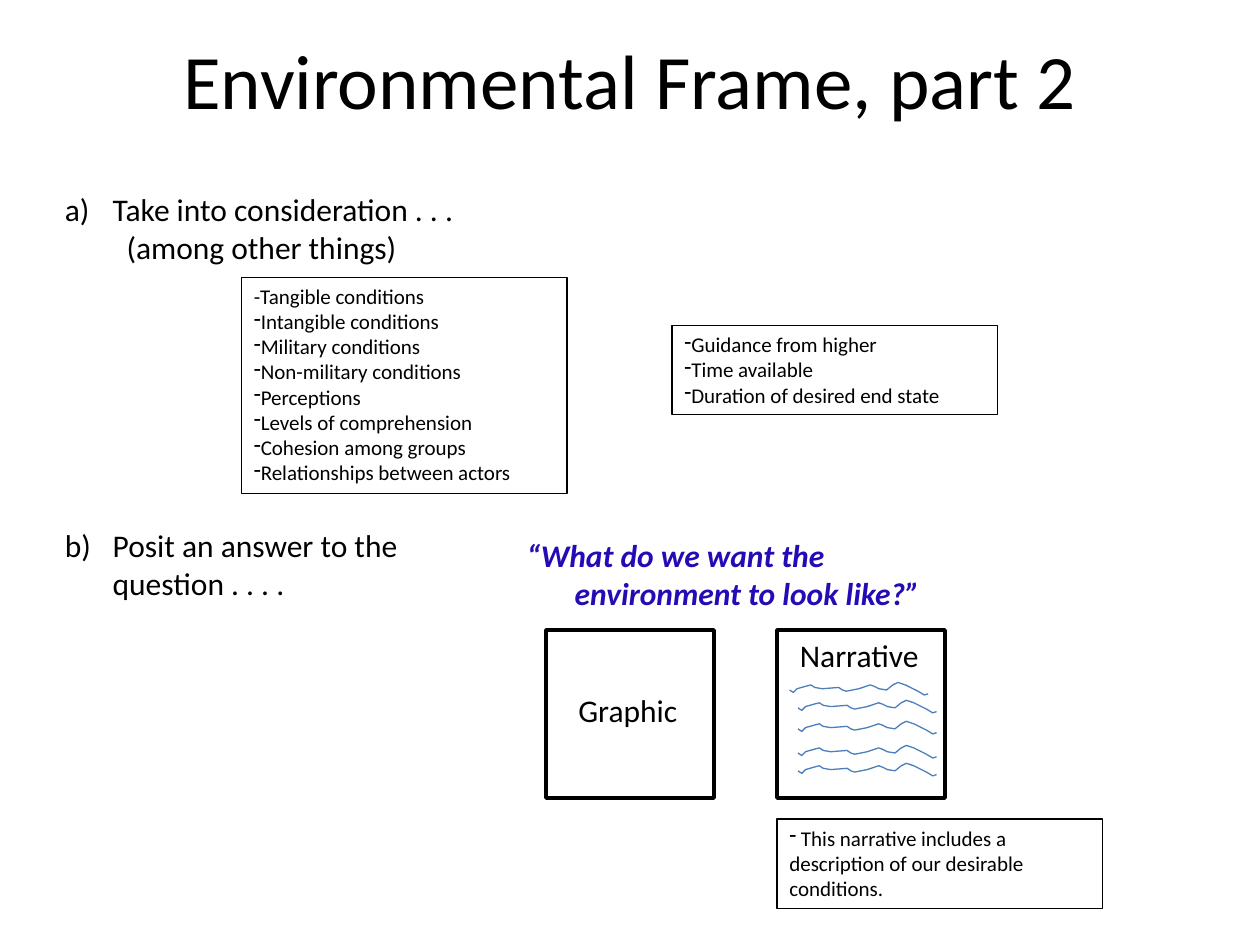
from collections import namedtuple

from lxml.etree import SubElement
from pptx import Presentation
from pptx.dml.color import RGBColor
from pptx.enum.shapes import MSO_SHAPE as Shape
from pptx.enum.text import MSO_ANCHOR as Anchor, PP_ALIGN as Align
from pptx.oxml.ns import qn
from pptx.util import Inches, Pt

BLACK = RGBColor(0x00, 0x00, 0x00)
QUOTE_BLUE = RGBColor(0x23, 0x0B, 0xB5)
WAVE_BLUE = RGBColor(0x4B, 0x7E, 0xBC)
FONT = "Calibri"

# Grid of 120 columns by 90 rows on a 10 by 7.5 inch slide
CELL = Inches(10) // 120
HANGING = 0.38
Box = namedtuple("Box", "column row columns rows")

# One handwritten line, in hundredths of an inch from its top left corner
WAVE = [(0, 6), (3, 8), (6, 5), (13, 3), (17, 2), (20, 4), (26, 5), (39, 4),
        (42, 6), (45, 7), (55, 5), (64, 2), (67, 3), (71, 5), (77, 6), (82, 2),
        (86, 0), (92, 2), (98, 5), (102, 7), (107, 10), (110, 9)]
# Column and row of each handwritten line inside the narrative panel
WAVE_STARTS = [(1.2, 5), (2, 6.7), (2, 8.7), (2, 11), (2, 12.7)]


def place(box):
    return [round(value * CELL) for value in box]


def inside(box, column, row, columns, rows):
    return Box(box.column + column, box.row + row, columns, rows)


def set_margin(paragraph, left, first=0):
    properties = paragraph._p.get_or_add_pPr()
    properties.set("marL", str(Inches(left)))
    properties.set("indent", str(Inches(first)))
    return properties


def add_dash(paragraph):
    SubElement(set_margin(paragraph, 0), qn("a:buChar")).set("char", "-")


def format_text(text_frame, size, color=BLACK, emphasis=False, align=Align.LEFT):
    text_frame.word_wrap = True
    for paragraph in text_frame.paragraphs:
        paragraph.alignment = align
        for run in paragraph.runs:
            font = run.font
            font.name, font.size = FONT, Pt(size)
            font.color.rgb = color
            font.bold = font.italic = emphasis


def add_text(slide, box, text, size=18, **style):
    text_frame = slide.shapes.add_textbox(*place(box)).text_frame
    text_frame.text = text
    format_text(text_frame, size, **style)
    return text_frame


def add_frame(slide, box, line_width):
    frame = slide.shapes.add_shape(Shape.RECTANGLE, *place(box))
    frame.shadow.inherit = False
    frame.fill.background()
    frame.line.color.rgb = BLACK
    frame.line.width = Pt(line_width)
    return frame


def add_title(slide, box):
    text_frame = add_text(slide, box, "Environmental Frame, part 2", 44,
                          align=Align.CENTER)
    text_frame.vertical_anchor = Anchor.MIDDLE


def add_consideration(slide, box):
    text_frame = add_text(slide, box, "Take into consideration . . .\n(among other things)")
    step, aside = text_frame.paragraphs
    number = SubElement(set_margin(step, HANGING, -HANGING), qn("a:buAutoNum"))
    number.set("type", "alphaLcParenR")
    set_margin(aside, 0.49)


def add_hanging_text(slide, box, text, **style):
    text_frame = add_text(slide, box, text, **style)
    set_margin(text_frame.paragraphs[0], HANGING, -HANGING)


def add_note(slide, box, lines, first_dash=0):
    """Framed list with dash bullets from line first_dash on."""
    text_frame = add_frame(slide, box, 0.75).text_frame
    text_frame.text = "\n".join(lines)
    text_frame.vertical_anchor = Anchor.TOP
    for paragraph in text_frame.paragraphs[first_dash:]:
        add_dash(paragraph)
    format_text(text_frame, 12)


def add_wave(slide, column, row):
    builder = slide.shapes.build_freeform(*WAVE[0], scale=Inches(0.01))
    builder.add_line_segments(WAVE[1:], close=False)
    wave = builder.convert_to_shape(round(column * CELL), round(row * CELL))
    wave.shadow.inherit = False
    wave.fill.background()
    wave.line.color.rgb = WAVE_BLUE
    wave.line.width = Pt(0.75)


def add_graphic_panel(slide, box):
    add_frame(slide, box, 2)
    add_text(slide, inside(box, 1.9, 5.2, 14, 4.8), "Graphic")


def add_narrative_panel(slide, box):
    add_frame(slide, box, 2)
    add_text(slide, inside(box, 1, 0, 16, 4.8), "Narrative")
    for column, row in WAVE_STARTS:
        add_wave(slide, box.column + column, box.row + row)


def main():
    presentation = Presentation()
    presentation.slide_width, presentation.slide_height = 120 * CELL, 90 * CELL
    slide = presentation.slides.add_slide(presentation.slide_layouts[6])

    add_title(slide, Box(6, 0, 108, 15))

    # Step a: what to consider
    add_consideration(slide, Box(5, 17.5, 43, 8.5))
    add_note(slide, Box(64, 31, 31, 8.5),
             ["Guidance from higher", "Time available", "Duration of desired end state"])
    add_note(slide, Box(23, 26.4, 31, 20.6),
             ["-Tangible conditions", "Intangible conditions", "Military conditions",
              "Non-military conditions", "Perceptions", "Levels of comprehension",
              "Cohesion among groups", "Relationships between actors"], first_dash=1)

    # Step b: the question and its two answers
    add_hanging_text(slide, Box(5, 49.5, 43, 8.5),
                     "b)\tPosit an answer to the question . . . .")
    add_hanging_text(slide, Box(49, 50.5, 43, 8.5),
                     "“What do we want the environment to look like?”",
                     color=QUOTE_BLUE, emphasis=True)
    add_graphic_panel(slide, Box(52, 60, 16, 16))
    add_narrative_panel(slide, Box(74, 60, 16, 16))
    add_note(slide, Box(74, 78, 31, 8.5),
             [" This narrative includes a description of our desirable conditions."])

    presentation.save("out.pptx")


if __name__ == "__main__":
    main()
